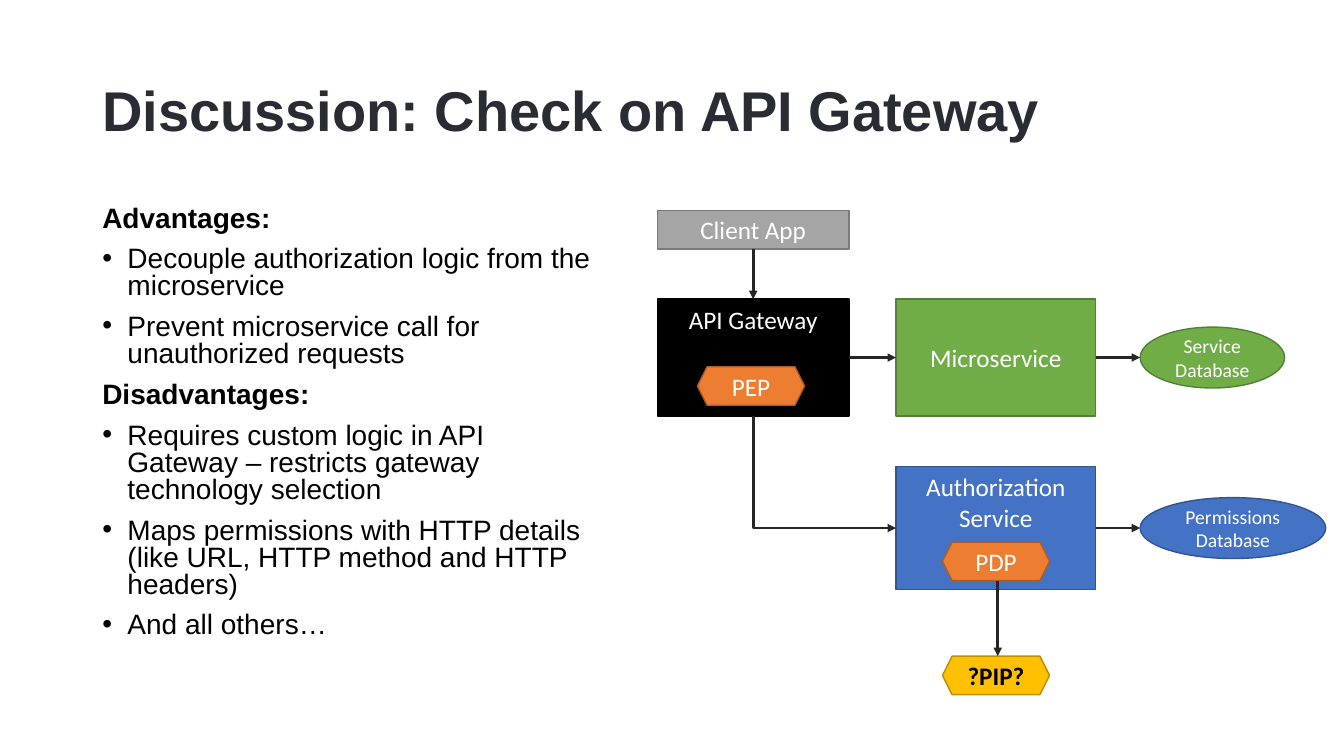
from dataclasses import dataclass

from lxml import etree
from pptx import Presentation
from pptx.dml.color import RGBColor
from pptx.enum.shapes import MSO_CONNECTOR, MSO_SHAPE
from pptx.enum.text import MSO_ANCHOR, PP_ALIGN
from pptx.oxml.ns import qn
from pptx.util import Pt

RECT, OVAL, HEXAGON = MSO_SHAPE.RECTANGLE, MSO_SHAPE.OVAL, MSO_SHAPE.HEXAGON
STRAIGHT, ELBOW = MSO_CONNECTOR.STRAIGHT, MSO_CONNECTOR.ELBOW
TOP, MIDDLE = MSO_ANCHOR.TOP, MSO_ANCHOR.MIDDLE
LEFT, CENTER = PP_ALIGN.LEFT, PP_ALIGN.CENTER


@dataclass(frozen=True)
class Theme:
    heading_font: str = "Arial"
    label_font: str = "Calibri"
    title_size: float = 40
    body_size: float = 20
    label_size: float = 18
    small_size: float = 14
    title: str = "292D33"
    ink: str = "000000"
    paper: str = "FFFFFF"
    arrow: str = "262626"
    # (fill, outline) pairs
    gray: tuple = ("A5A5A5", "7A7A7A")
    black: tuple = ("000000", "000000")
    green: tuple = ("70AD47", "538035")
    blue: tuple = ("4472C4", "325491")
    orange: tuple = ("ED7D31", "AF5C24")
    yellow: tuple = ("FFC000", "BD8E00")


class Deck:
    def __init__(self, prs, theme):
        self.theme = theme
        self.s = prs.slides.add_slide(prs.slide_layouts[6])

    def add_text(self, p, text, font, size, color, bold=False):
        r = p.add_run()
        r.text = text
        style = {"name": font, "size": Pt(size), "bold": bold}
        for key, value in style.items():
            setattr(r.font, key, value)
        r.font.color.rgb = RGBColor.from_string(color)

    def text_box(self, box, anchor):
        tf = self.s.shapes.add_textbox(*map(Pt, box)).text_frame
        tf.word_wrap = True
        tf.vertical_anchor = anchor
        return tf

    def title(self, box, text):
        t = self.theme
        p = self.text_box(box, MIDDLE).paragraphs[0]
        p.line_spacing = 0.9
        self.add_text(p, text, t.heading_font, t.title_size, t.title, True)

    def body(self, box, sections):
        t = self.theme
        tf = self.text_box(box, TOP)
        lines = [(text, i > 0) for section in sections for i, text in enumerate(section)]
        for i, (text, bulleted) in enumerate(lines):
            p = tf.add_paragraph() if i else tf.paragraphs[0]
            if bulleted:
                self.bullet(p)
            layout = {"alignment": LEFT, "line_spacing": 0.8,
                      "space_before": Pt(10 if i else 0)}
            for key, value in layout.items():
                setattr(p, key, value)
            self.add_text(p, text, t.heading_font, t.body_size, t.ink, not bulleted)

    def bullet(self, p):
        pPr = p._p.get_or_add_pPr()
        pPr.set("marL", str(Pt(18)))
        pPr.set("indent", str(-Pt(18)))
        etree.SubElement(pPr, qn("a:buFont")).set("typeface", self.theme.heading_font)
        etree.SubElement(pPr, qn("a:buChar")).set("char", "•")

    def node(self, kind, box, lines, colors, anchor=MIDDLE, size=None, color=None, bold=False):
        t = self.theme
        fill, outline = colors
        sp = self.s.shapes.add_shape(kind, *map(Pt, box))
        sp.shadow.inherit = False
        sp.fill.solid()
        sp.fill.fore_color.rgb = RGBColor.from_string(fill)
        sp.line.color.rgb = RGBColor.from_string(outline)
        sp.line.width = Pt(1)
        tf = sp.text_frame
        tf.word_wrap = True
        tf.vertical_anchor = anchor
        for i, text in enumerate(lines):
            p = tf.add_paragraph() if i else tf.paragraphs[0]
            p.alignment = CENTER
            self.add_text(p, text, t.label_font, size or t.label_size, color or t.paper, bold)

    def arrow(self, start, end, kind=STRAIGHT):
        sp = self.s.shapes.add_connector(kind, *map(Pt, start + end))
        sp.line.color.rgb = RGBColor.from_string(self.theme.arrow)
        sp.line.width = Pt(2)
        spPr = sp._element.spPr
        etree.SubElement(spPr.find(qn("a:ln")), qn("a:tailEnd")).set("type", "triangle")
        etree.SubElement(spPr, qn("a:effectLst"))
        return sp

    def corner_arrow(self, start, end):
        """Runs down from start, then right to end."""
        (x1, y1), (x2, y2) = start, end
        cx, cy = (x1 + x2) / 2, (y1 + y2) / 2
        half_w, half_h = (y2 - y1) / 2, (x2 - x1) / 2
        # The unrotated frame is mirrored, then turned by 270 degrees
        sp = self.arrow((cx + half_w, cy - half_h), (cx - half_w, cy + half_h), ELBOW)
        spPr = sp._element.spPr
        spPr.find(qn("a:xfrm")).set("rot", str(270 * 60000))
        spPr.find(qn("a:prstGeom")).set("prst", "bentConnector2")


def main():
    prs = Presentation()
    prs.slide_width, prs.slide_height = Pt(960), Pt(540)
    t = Theme()
    d = Deck(prs, t)

    # Title and arguments
    d.title((66, 28.8, 828, 104.4), "Discussion: Check on API Gateway")
    d.body((66, 144, 371.5, 342.7), [
        ["Advantages:",
         "Decouple authorization logic from the microservice",
         "Prevent microservice call for unauthorized requests"],
        ["Disadvantages:",
         "Requires custom logic in API Gateway – restricts gateway technology selection",
         "Maps permissions with HTTP details (like URL, HTTP method and HTTP headers)",
         "And all others…"],
    ])

    # Diagram grid: three columns, two service rows
    gateway_x, gateway_w = 469.5, 137
    service_x, service_w = 640, 142.7
    database_x, database_h = 814.4, 43.5
    top_y, top_h = 213.7, 83.4
    auth_y, auth_h = 333.3, 87.8
    tag_w, tag_h = 76.5, 27.5
    pep_x, pdp_x, pdp_y, pip_y = 498.2, 673.2, 387.2, 468.7
    client_y = 150.4
    gateway_mid = gateway_x + gateway_w / 2
    service_end = service_x + service_w
    top_mid, auth_mid = top_y + top_h / 2, auth_y + auth_h / 2
    pip_arrow_x = 712.7

    # Services
    d.node(RECT, (gateway_x, client_y, gateway_w, tag_h), ["Client App"], t.gray)
    d.node(RECT, (gateway_x, top_y, gateway_w, top_h), ["API Gateway"], t.black, TOP)
    d.node(RECT, (service_x, top_y, service_w, top_h), ["Microservice"], t.green)
    d.node(RECT, (service_x, auth_y, service_w, auth_h), ["Authorization Service"], t.blue, TOP)

    # Databases
    for name, mid, w, colors in (("Service", top_mid, 103.2, t.green),
                                 ("Permissions", auth_mid, 132.6, t.blue)):
        d.node(OVAL, (database_x, mid - database_h / 2, w, database_h),
               [name, "Database"], colors, size=t.small_size)
        d.arrow((service_end, mid), (database_x, mid))

    # Policy points
    d.node(HEXAGON, (pep_x, 262, tag_w, tag_h), ["PEP"], t.orange)
    d.node(HEXAGON, (pdp_x, pdp_y, tag_w, tag_h), ["PDP"], t.orange)
    d.node(HEXAGON, (pdp_x, pip_y, tag_w, tag_h), ["?PIP?"], t.yellow, color=t.ink, bold=True)

    # Request flow
    d.arrow((gateway_mid, client_y + tag_h), (gateway_mid, top_y))
    d.arrow((gateway_x + gateway_w, top_mid), (service_x, top_mid))
    d.corner_arrow((gateway_mid, top_y + top_h), (service_x, auth_mid))
    d.arrow((pip_arrow_x, pdp_y + tag_h), (pip_arrow_x, pip_y))

    prs.save("out.pptx")


if __name__ == "__main__":
    main()
